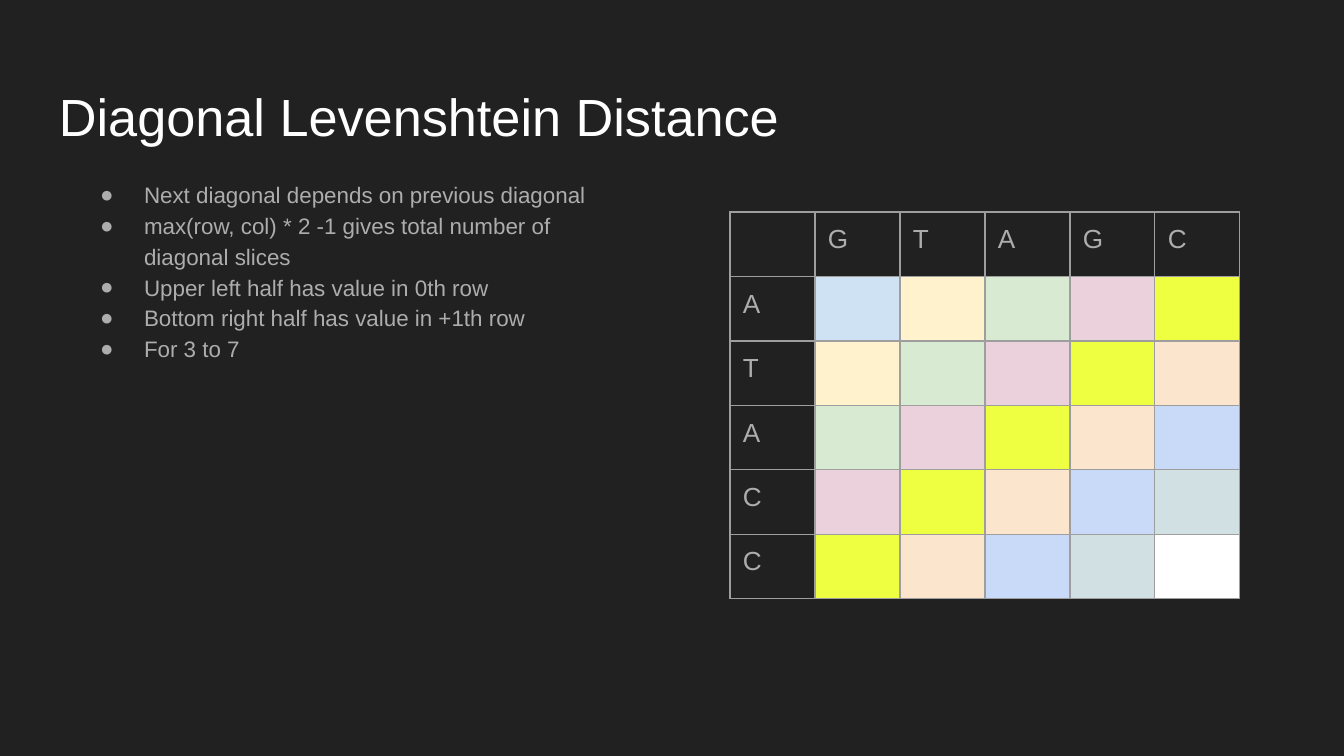
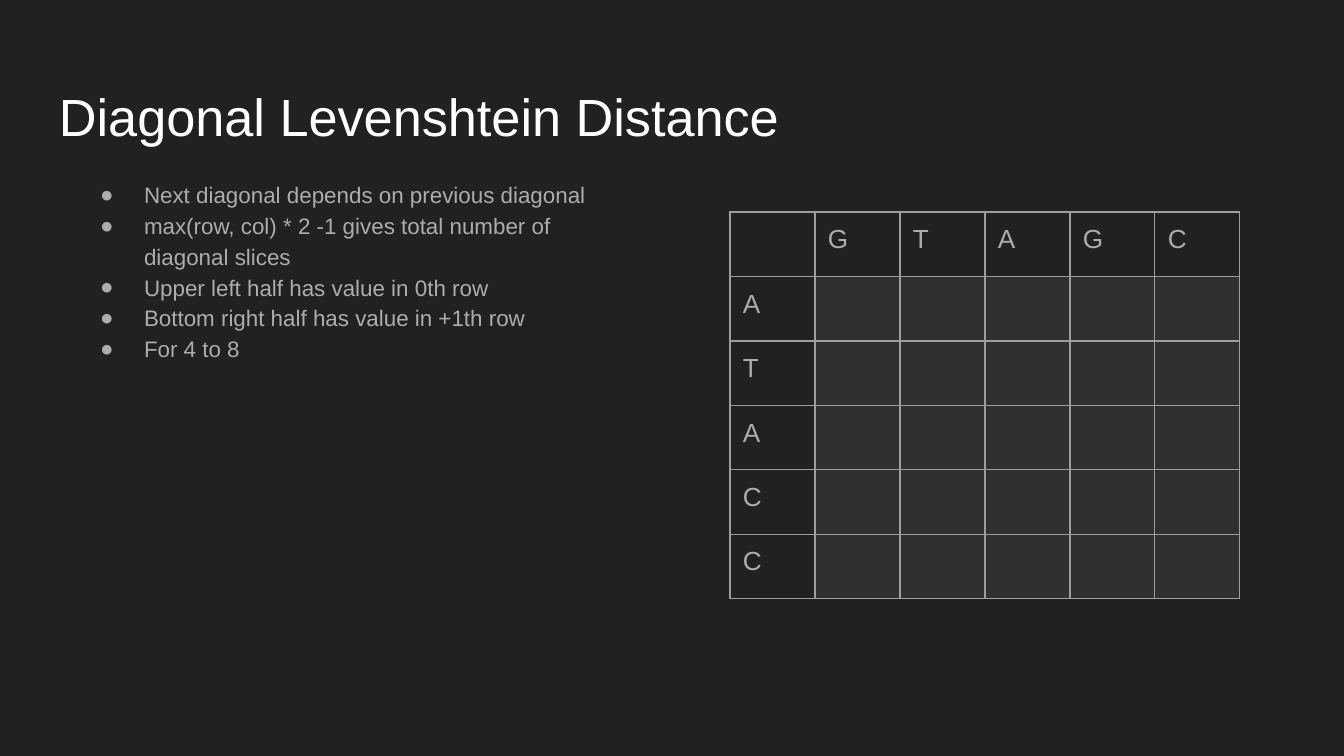
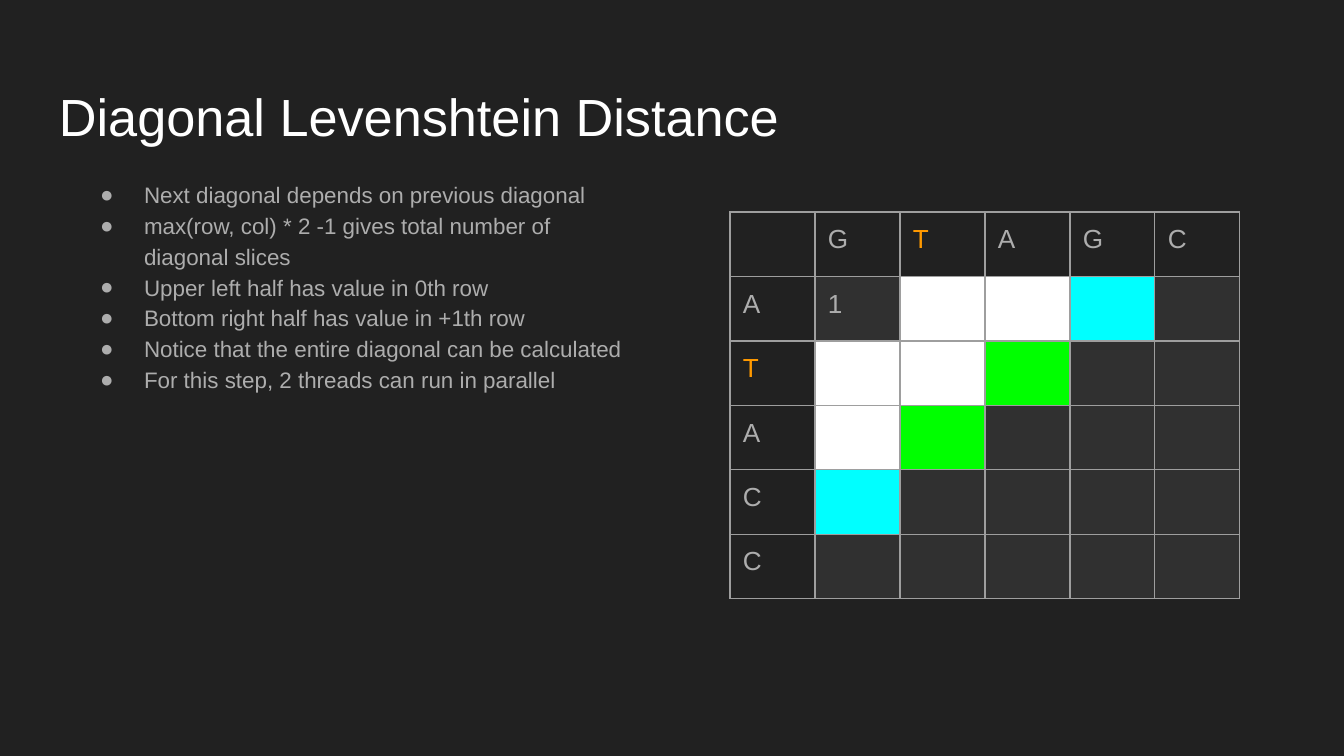
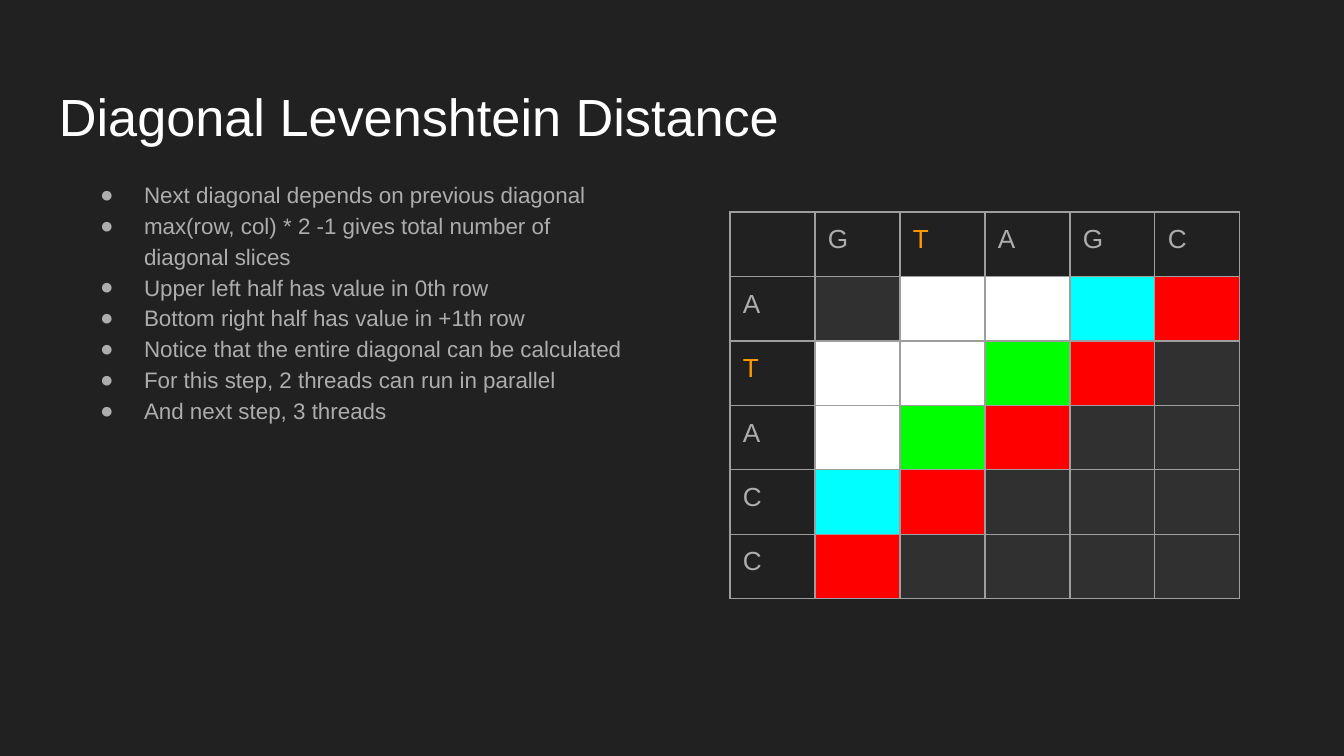
import lxml.etree
import pptx
import pptx.dml.color
import pptx.enum.text
import pptx.oxml.ns
import pptx.util

RGBColor = pptx.dml.color.RGBColor

EMU_PER_PX = 914400 / 134.4
SLIDE_SIZE = (1344, 756)
TITLE_BOX = (46, 66, 1253, 85)
BULLET_BOX = (64, 164, 575, 536)
TABLE_BOX = (730, 212, 510, 387)
INSET = 13
TITLE_TOP_INSET = 18
BULLET_INDENT = 67
BULLET_HANGING = 44
BORDER_WIDTH = pptx.util.Pt(0.75)

FONT = "Arial"
BACKGROUND = RGBColor(0x21, 0x21, 0x21)
WHITE = RGBColor(0xFF, 0xFF, 0xFF)
TEXT_GRAY = RGBColor(0xAD, 0xAD, 0xAD)
BORDER_GRAY = RGBColor(0x9E, 0x9E, 0x9E)
PENDING = RGBColor(0x30, 0x30, 0x30)
ORANGE = RGBColor(0xFF, 0x99, 0x00)
CYAN = RGBColor(0x00, 0xFF, 0xFF)
GREEN = RGBColor(0x00, 0xFF, 0x00)
RED = RGBColor(0xFF, 0x00, 0x00)
PALE_BLUE = RGBColor(0xCF, 0xE2, 0xF3)
PALE_YELLOW = RGBColor(0xFF, 0xF2, 0xCC)
PALE_GREEN = RGBColor(0xD9, 0xEA, 0xD3)
PALE_PINK = RGBColor(0xEA, 0xD1, 0xDC)
BRIGHT_YELLOW = RGBColor(0xEE, 0xFF, 0x41)
PALE_ORANGE = RGBColor(0xFC, 0xE5, 0xCD)
PERIWINKLE = RGBColor(0xC9, 0xDA, 0xF8)
PALE_TEAL = RGBColor(0xD0, 0xE0, 0xE3)

TITLE = "Diagonal Levenshtein Distance"
COLUMN_LETTERS = "GTAGC"
ROW_LETTERS = "ATACC"
DIAGONAL_COUNT = len(COLUMN_LETTERS) + len(ROW_LETTERS) - 1

COMMON_BULLETS = [
    "Next diagonal depends on previous diagonal",
    "max(row, col) * 2 -1 gives total number of diagonal slices",
    "Upper left half has value in 0th row",
    "Bottom right half has value in +1th row",
]
THREAD_BULLETS = [
    "Notice that the entire diagonal can be calculated",
    "For this step, 2 threads can run in parallel",
]

# Each diagonal has one fill; "ends" recolours its first and last cells
SLIDES = [
    {
        "bullets": ["For 3 to 7"],
        "fills": [PALE_BLUE, PALE_YELLOW, PALE_GREEN, PALE_PINK, BRIGHT_YELLOW,
                  PALE_ORANGE, PERIWINKLE, PALE_TEAL, WHITE],
    },
    {"bullets": ["For 4 to 8"], "fills": []},
    {
        "bullets": THREAD_BULLETS,
        "fills": [PENDING, WHITE, WHITE, GREEN],
        "ends": {3: CYAN},
        "matched": "T",
        "first_value": "1",
    },
    {
        "bullets": THREAD_BULLETS + ["And next step, 3 threads"],
        "fills": [PENDING, WHITE, WHITE, GREEN, RED],
        "ends": {3: CYAN},
        "matched": "T",
    },
]


def px(length):
    return pptx.util.Emu(round(length * EMU_PER_PX))


def format_runs(paragraph, size, color):
    for run in paragraph.runs:
        run.font.name = FONT
        run.font.size = pptx.util.Pt(size)
        run.font.color.rgb = color


def set_margins(target, top=INSET):
    target.margin_left = target.margin_right = target.margin_bottom = px(INSET)
    target.margin_top = px(top)


def add_text_box(slide, box, top_inset=INSET):
    text_frame = slide.shapes.add_textbox(*map(px, box)).text_frame
    text_frame.word_wrap = True
    text_frame.vertical_anchor = pptx.enum.text.MSO_ANCHOR.TOP
    set_margins(text_frame, top_inset)
    return text_frame


def add_element(parent, tag, **attributes):
    return lxml.etree.SubElement(parent, pptx.oxml.ns.qn(tag), attributes)


def add_title(slide, box):
    text_frame = add_text_box(slide, box, TITLE_TOP_INSET)
    text_frame.text = TITLE
    format_runs(text_frame.paragraphs[0], 28, WHITE)


def add_bullets(slide, box, bullets):
    text_frame = add_text_box(slide, box)
    text_frame.text = "\n".join(bullets)
    for paragraph in text_frame.paragraphs:
        paragraph.line_spacing = 1.15
        properties = paragraph._p.get_or_add_pPr()
        properties.set("marL", str(px(BULLET_INDENT)))
        properties.set("indent", str(-px(BULLET_HANGING)))
        bullet_color = add_element(properties, "a:buClr")
        add_element(bullet_color, "a:srgbClr", val=str(TEXT_GRAY))
        add_element(properties, "a:buFont", typeface=FONT)
        add_element(properties, "a:buChar", char="●")
        format_runs(paragraph, 12, TEXT_GRAY)


def add_borders(cell):
    properties = cell._tc.get_or_add_tcPr()
    for side in ("a:lnL", "a:lnR", "a:lnT", "a:lnB"):
        line = add_element(properties, side, w=str(BORDER_WIDTH))
        fill = add_element(line, "a:solidFill")
        add_element(fill, "a:srgbClr", val=str(BORDER_GRAY))


def set_cell(cell, text="", fill=None, color=TEXT_GRAY):
    add_borders(cell)
    if fill is None:
        cell.fill.background()
    else:
        cell.fill.solid()
        cell.fill.fore_color.rgb = fill
    if text:
        set_margins(cell)
        cell.text = text
        format_runs(cell.text_frame.paragraphs[0], 14, color)


def add_distance_table(slide, box, fills, ends=None, matched="", first_value=""):
    row_count, column_count = len(ROW_LETTERS), len(COLUMN_LETTERS)
    table = slide.shapes.add_table(row_count + 1, column_count + 1, *map(px, box)).table
    table.first_row = table.horz_banding = False

    # Letters along the top and the left side
    def letter_color(letter):
        return ORANGE if letter == matched else TEXT_GRAY

    set_cell(table.cell(0, 0))
    for column, letter in enumerate(COLUMN_LETTERS, 1):
        set_cell(table.cell(0, column), letter, color=letter_color(letter))
    for row, letter in enumerate(ROW_LETTERS, 1):
        set_cell(table.cell(row, 0), letter, color=letter_color(letter))

    # Distance cells, coloured by diagonal
    diagonal_fills = fills + [PENDING] * (DIAGONAL_COUNT - len(fills))
    for row in range(row_count):
        for column in range(column_count):
            diagonal = row + column
            fill = diagonal_fills[diagonal]
            if ends and 0 in (row, column):
                fill = ends.get(diagonal, fill)
            value = first_value if diagonal == 0 else ""
            set_cell(table.cell(row + 1, column + 1), value, fill)


def add_distance_slide(presentation, bullets, **table_options):
    slide = presentation.slides.add_slide(presentation.slide_layouts[6])
    slide.background.fill.solid()
    slide.background.fill.fore_color.rgb = BACKGROUND
    add_title(slide, TITLE_BOX)
    add_bullets(slide, BULLET_BOX, COMMON_BULLETS + bullets)
    add_distance_table(slide, TABLE_BOX, **table_options)


def main():
    presentation = pptx.Presentation()
    presentation.slide_width, presentation.slide_height = map(px, SLIDE_SIZE)
    for slide_options in SLIDES:
        add_distance_slide(presentation, **slide_options)
    presentation.save("out.pptx")


if __name__ == "__main__":
    main()
